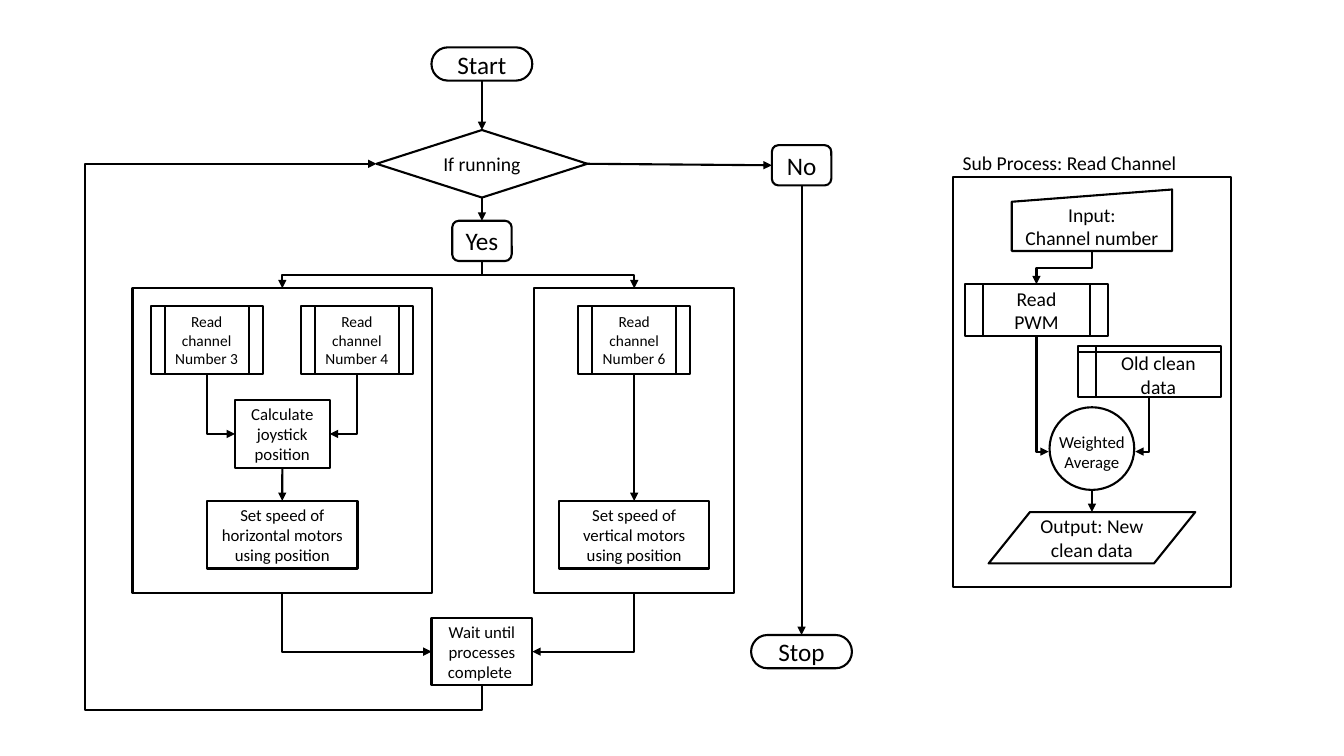
from lxml.etree import SubElement
from pptx import Presentation
from pptx.dml.color import RGBColor
from pptx.enum.shapes import MSO_CONNECTOR as Wire, MSO_SHAPE as Kind
from pptx.enum.text import MSO_ANCHOR as Anchor, MSO_AUTO_SIZE as Fit, PP_ALIGN as Align
from pptx.oxml.ns import qn
from pptx.util import Inches, Pt

BLACK = RGBColor(0, 0, 0)
TOP, LEFT, BOTTOM, RIGHT = range(4)


class Chart:
    """Draws flowchart parts in one style on one slide."""

    font = {"name": "Calibri"}
    pen = {"width": Pt(1.5)}

    def __init__(self, slide):
        self.shapes = slide.shapes

    def style(self, item, values):
        for key, value in values.items():
            setattr(item, key, value)

    def label(self, shape, text, size, align, frame):
        self.style(shape.text_frame, frame)
        shape.text_frame.text = text
        for para in shape.text_frame.paragraphs:
            para.alignment = align
            self.style(para.font, {**self.font, "size": Pt(size)})
            para.font.color.rgb = BLACK

    def ink(self, line):
        self.style(line, self.pen)
        line.color.rgb = BLACK

    def box(self, kind, mid, top, wide, high, text="", size=12):
        """Add an outlined shape centred on the column at mid."""
        shape = self.shapes.add_shape(
            kind, *map(Inches, (mid - wide / 2, top, wide, high)))
        shape.shadow.inherit = False
        shape.fill.background()
        self.ink(shape.line)
        if text:
            self.label(shape, text, size, Align.CENTER,
                       {"vertical_anchor": Anchor.MIDDLE, "word_wrap": True})
        return shape

    def note(self, mid, top, wide, high, text, size, align):
        shape = self.shapes.add_textbox(
            *map(Inches, (mid - wide / 2, top, wide, high)))
        self.label(shape, text, size, align,
                   {"word_wrap": False, "auto_size": Fit.SHAPE_TO_FIT_TEXT})
        return shape

    def wire(self, kind, ends=(0, 0, 0, 0)):
        wire = self.shapes.add_connector(kind, *map(Inches, ends))
        self.ink(wire.line)
        line = wire.line._get_or_add_ln()
        SubElement(line, qn("a:tailEnd"), type="triangle")
        SubElement(wire._element.spPr, qn("a:effectLst"))
        return wire

    def join(self, start, out, end, into, kind=Wire.STRAIGHT):
        wire = self.wire(kind)
        wire.begin_connect(start, out)
        wire.end_connect(end, into)
        return wire

    def bend(self, start, end, into, preset="bentConnector2", adjust=()):
        """Join from a bottom side with an elbow that sets off downwards."""
        wire = self.join(start, BOTTOM, end, into, Wire.ELBOW)
        across = wire.end_x - wire.begin_x
        down = wire.end_y - wire.begin_y
        wide, high = abs(down), abs(across)
        left = (wire.begin_x + wire.end_x - wide) // 2
        top = (wire.begin_y + wire.end_y - high) // 2
        self.style(wire, {"left": left, "top": top, "width": wide, "height": high})
        # Turn the elbow a quarter so that its first leg is vertical
        props = wire._element.spPr
        frame = props.find(qn("a:xfrm"))
        frame.set("rot", "5400000" if across < 0 else "16200000")
        frame.set("flipH", "1" if across > 0 or down < 0 else "0")
        frame.set("flipV", "0")
        shape = props.find(qn("a:prstGeom"))
        shape.set("prst", preset)
        for spot, value in enumerate(adjust, 1):
            SubElement(shape.find(qn("a:avLst")), qn("a:gd"),
                       name=f"adj{spot}", fmla=f"val {value}")


def main():
    deck = Presentation()
    deck.slide_width, deck.slide_height = Inches(13.33), Inches(7.5)
    chart = Chart(deck.slides.add_slide(deck.slide_layouts[6]))
    box, join, bend = chart.box, chart.join, chart.bend
    main_x, left_x, right_x, stop_x = 4.78, 2.8, 6.29, 7.95
    step = "bentConnector3"

    # Start, test and its two answers
    start = box(Kind.FLOWCHART_TERMINATOR, main_x, 0.47, 1, 0.33, "Start", 18)
    test = box(Kind.FLOWCHART_DECISION, main_x, 1.29, 2.09, 0.67, "If running", 14)
    yes, no = [
        box(Kind.FLOWCHART_ALTERNATE_PROCESS, mid, top, 0.59, 0.4, text, 18)
        for mid, top, text in ((main_x, 2.19, "Yes"), (stop_x, 1.44, "No"))]
    stop = box(Kind.FLOWCHART_TERMINATOR, stop_x, 6.3, 1, 0.33, "Stop", 18)
    join(start, BOTTOM, test, TOP)
    join(test, BOTTOM, yes, TOP)
    join(test, RIGHT, no, LEFT)
    join(no, BOTTOM, stop, TOP)

    # Two parallel branches
    pair, single = [
        box(Kind.FLOWCHART_PROCESS, mid, 2.86, wide, 3.02)
        for mid, wide in ((left_x, 2.97), (right_x, 1.98))]
    three, four, six = [
        box(Kind.FLOWCHART_PREDEFINED_PROCESS, mid, 3.04, 1.11, 0.67,
            f"Read channel\nNumber {number}", 11)
        for mid, number in ((2.05, 3), (3.54, 4), (right_x, 6))]
    stick = box(Kind.FLOWCHART_PROCESS, left_x, 3.97, 0.94, 0.67,
                "Calculate joystick position")
    flat, tall = [
        box(Kind.FLOWCHART_PROCESS, mid, 4.97, 1.49, 0.67,
            f"Set speed of {way} motors using position")
        for mid, way in ((left_x, "horizontal"), (right_x, "vertical"))]
    bend(yes, pair, TOP, step)
    bend(yes, single, TOP, step)
    bend(three, stick, LEFT)
    bend(four, stick, RIGHT)
    join(stick, BOTTOM, flat, TOP)
    join(six, BOTTOM, tall, TOP)

    # Wait, then loop back to the test
    wait = box(Kind.FLOWCHART_PROCESS, main_x, 6.13, 1, 0.67,
               "Wait until processes\ncomplete ")
    bend(pair, wait, LEFT)
    bend(single, wait, RIGHT)
    bend(wait, test, LEFT, "bentConnector4", (-4800, 376900))

    # Sub process
    sub_x, read_x, old_x = 10.83, 10.28, 11.4
    box(Kind.FLOWCHART_PROCESS, sub_x, 1.76, 2.75, 4.06)
    chart.note(10.62, 1.45, 2.34, 0.34, "Sub Process: Read Channel", 14, Align.LEFT)
    given = box(Kind.FLOWCHART_MANUAL_INPUT, sub_x, 1.88, 1.59, 0.61,
                "Input:\nChannel number", 14)
    read = box(Kind.FLOWCHART_PREDEFINED_PROCESS, read_x, 2.82, 1.42, 0.51,
               "Read PWM", 14)
    old = box(Kind.FLOWCHART_INTERNAL_STORAGE, old_x, 3.43, 1.42, 0.51,
              "Old clean data", 14)
    box(Kind.FLOWCHART_CONNECTOR, sub_x, 4.04, 0.84, 0.82)
    mean = chart.note(sub_x, 4.23, 0.86, 0.5, "Weighted\nAverage", 12, Align.CENTER)
    box(Kind.FLOWCHART_DATA, sub_x, 5.08, 2.05, 0.51, "Output: New clean data", 14)
    bend(given, read, TOP, step)
    bend(read, mean, LEFT)
    bend(old, mean, RIGHT)
    chart.wire(Wire.STRAIGHT, (sub_x, 4.86, sub_x, 5.08))

    deck.save("out.pptx")


if __name__ == "__main__":
    main()
